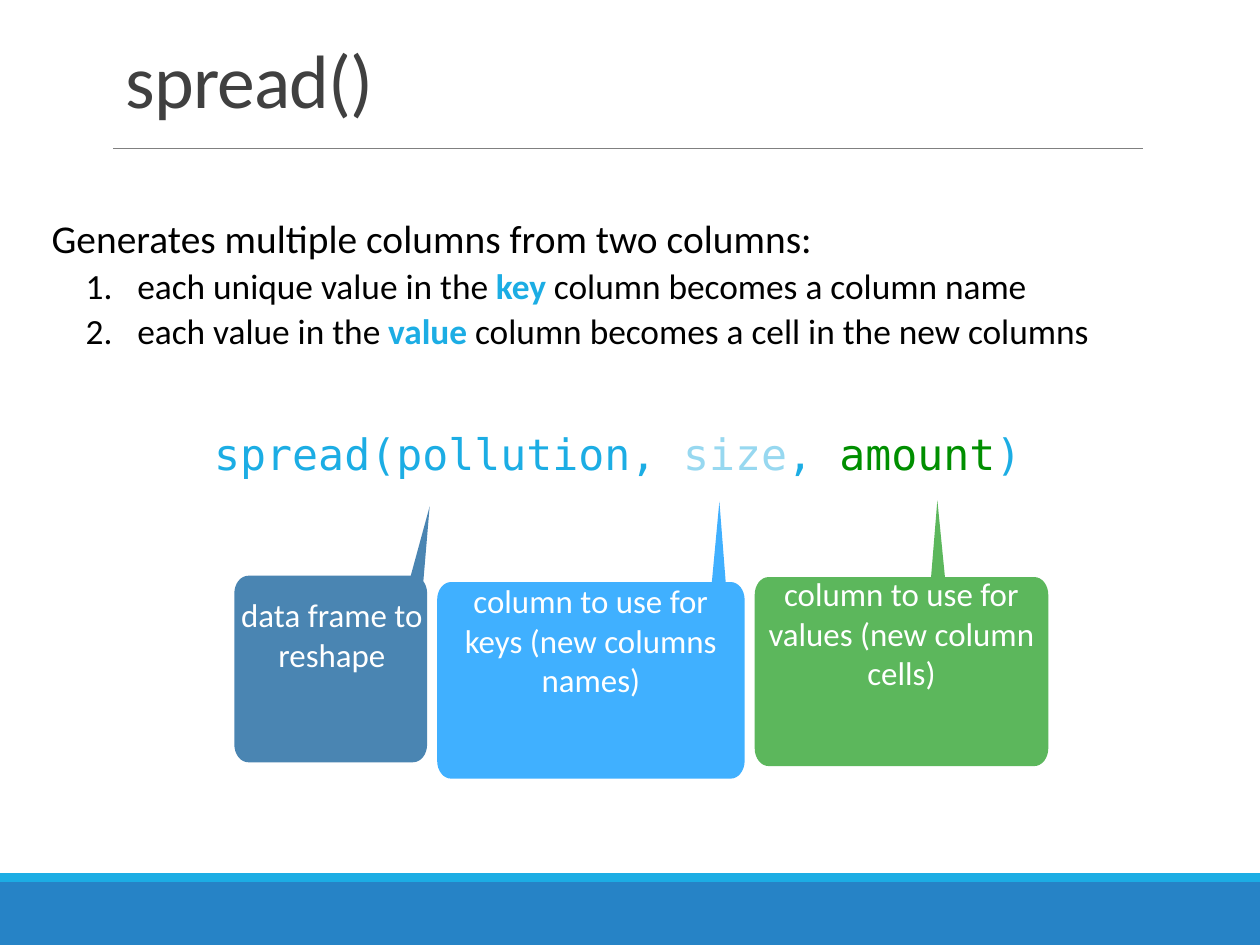
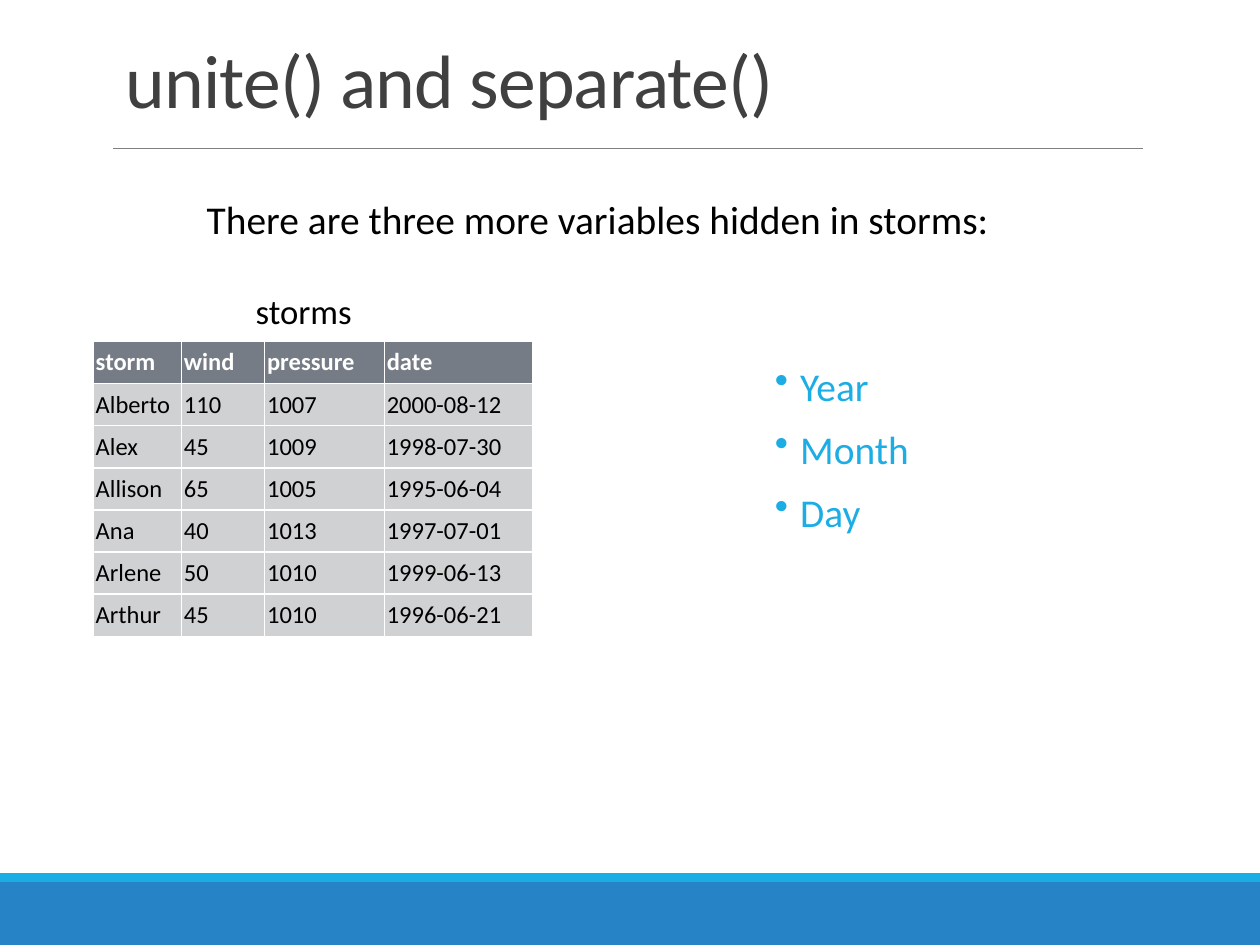
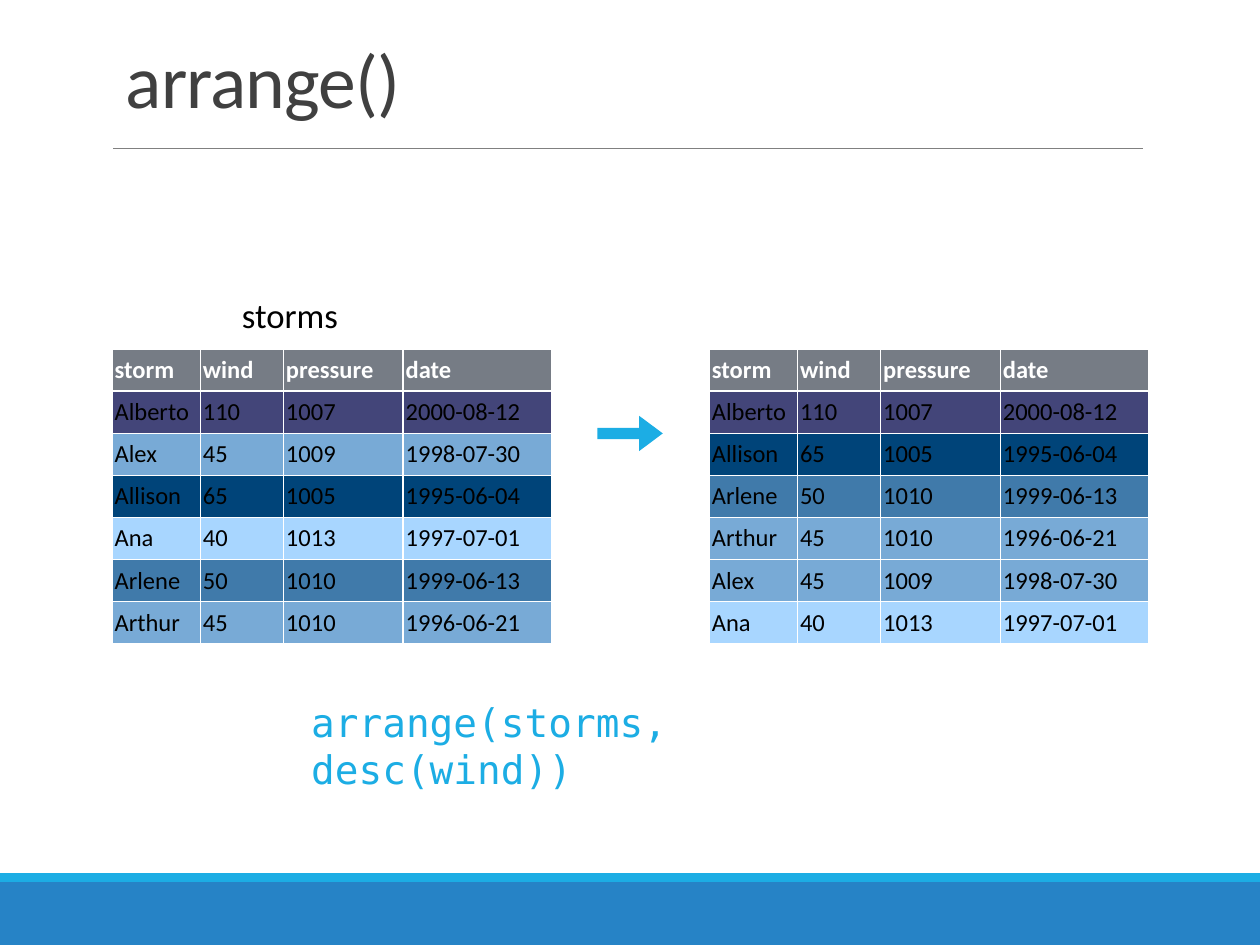
"""Build three slides on reshaping and sorting data frames."""
import math
import pptx
import pptx.util
import pptx.dml.color
import pptx.enum.shapes
import pptx.enum.text
import pptx.oxml
import pptx.oxml.ns
from dataclasses import dataclass
from lxml import etree

Inches = pptx.util.Inches
Kind = pptx.enum.shapes.MSO_SHAPE
Align = pptx.enum.text.PP_ALIGN
Anchor = pptx.enum.text.MSO_ANCHOR
qn = pptx.oxml.ns.qn


@dataclass(frozen=True)
class Theme:
    sans: str = "Calibri"
    mono: str = "DejaVu Sans Mono"
    band: str = "2683C6"
    main: str = "1CADE4"
    pale: str = "97D8F0"
    green: str = "008F00"
    navy: str = "005493"
    sky: str = "0096FF"
    rule: str = "808080"
    title: str = "404040"
    ink: str = "000000"
    white: str = "FFFFFF"
    head: str = "767C85"
    cell: str = "D0D1D2"
    big: float = 43.2
    code: float = 24.7
    body: float = 22.5
    item: float = 20.2
    label: float = 19.8
    note: float = 18.8
    grid: float = 14


T = Theme()
KEY = {"color": T.main, "bold": True}
LEAD = "Generates multiple columns from two columns:"
STEPS = [
    [("each unique value in the ", {}), ("key", KEY), (" column becomes a column name", {})],
    [("each value in the ", {}), ("value", KEY),
     (" column becomes a cell in the new columns", {})],
]
CALL = [("spread(pollution, ", {}), ("size", {"color": T.pale}), (", ", {}),
        ("amount", {"color": T.green}), (")", {})]
NOTES = [
    {"text": "data frame to reshape", "box": (1.86, 4.57, 3.39, 6.05),
     "tip": (3.41, 4.02), "base": (3.26, 3.36), "color": T.navy, "alpha": 71},
    {"text": "column to use for keys (new columns names)", "box": (3.47, 4.62, 5.91, 6.18),
     "tip": (5.71, 3.98), "base": (5.65, 5.76), "color": T.sky, "alpha": 75},
    {"text": "column to use for values (new column cells)", "box": (5.99, 4.58, 8.32, 6.08),
     "tip": (7.44, 3.97), "base": (7.39, 7.5), "color": T.green, "alpha": 64},
]
HEAD = ("storm", "wind", "pressure", "date")
STORMS = [
    ("Alberto", 110, 1007, "2000-08-12"),
    ("Alex", 45, 1009, "1998-07-30"),
    ("Allison", 65, 1005, "1995-06-04"),
    ("Ana", 40, 1013, "1997-07-01"),
    ("Arlene", 50, 1010, "1999-06-13"),
    ("Arthur", 45, 1010, "1996-06-21"),
]
WINDS = {110: "434579", 65: "004479", 50: "407AAA", 45: "78AAD6", 40: "A8D6FF"}
COLS = (0.7, 0.66, 0.95, 1.18)
TALL = 2.34
PARTS = ["Year", "Month", "Day"]


def rgb(code):
    return pptx.dml.color.RGBColor.from_string(code)


def text(frame, paras, *, size=T.body, color=T.ink, font=T.sans, bold=False, align=Align.LEFT,
         gap=0, line=None, mark=None, hang=0, left=0, track=0):
    for para in paras:
        p = frame.paragraphs[0]
        first = not p.runs
        if not first:
            p = frame.add_paragraph()
        p.alignment = align
        p.space_before = pptx.util.Pt(0 if first else gap)
        if line:
            p.line_spacing = line
        if mark:
            props = p._p.get_or_add_pPr()
            props.set("marL", str(Inches(left)))
            props.set("indent", str(-Inches(hang)))
            tag, name, value = mark
            etree.SubElement(props, qn(tag)).set(name, value)
        for words, style in [(para, {})] if isinstance(para, str) else para:
            run = p.add_run()
            run.text = words
            run.font.size = pptx.util.Pt(size)
            run.font.name = font
            run.font.bold = style.get("bold", bold)
            run.font.color.rgb = rgb(style.get("color", color))
            if track:
                run._r.get_or_add_rPr().set("spc", str(track))


def fit(frame, inset, anchor=Anchor.TOP):
    frame.word_wrap = True
    frame.vertical_anchor = anchor
    frame.margin_left = frame.margin_right = Inches(inset)
    frame.margin_top = frame.margin_bottom = Inches(inset)
    return frame


def box(slide, at, inset=0.02, anchor=Anchor.TOP):
    return fit(slide.shapes.add_textbox(*map(Inches, at)).text_frame, inset, anchor)


def paint(shape, color):
    shape.shadow.inherit = False
    shape.fill.solid()
    shape.fill.fore_color.rgb = rgb(color)
    shape.line.fill.background()
    return shape


def block(slide, kind, at, color):
    return paint(slide.shapes.add_shape(kind, *map(Inches, at)), color)


def start(deck, title):
    slide = deck.slides.add_slide(deck.slide_layouts[6])
    block(slide, Kind.RECTANGLE, (0, 7, 10, 0.5), T.band)
    block(slide, Kind.RECTANGLE, (0, 6.93, 10, 0.07), T.main)
    ends = map(Inches, (0.9, 1.18, 9.07, 1.18))
    rule = slide.shapes.add_connector(pptx.enum.shapes.MSO_CONNECTOR.STRAIGHT, *ends)
    rule.line.color.rgb = rgb(T.rule)
    rule.line.width = pptx.util.Pt(0.5)
    etree.SubElement(rule._element.spPr, qn("a:effectLst"))
    frame = box(slide, (0.9, 0.31, 8.25, 0.72), 0.05, Anchor.BOTTOM)
    frame.margin_left = frame.margin_right = Inches(0.1)
    text(frame, [title], size=T.big, color=T.title, line=0.85, track=-50)
    return slide


def bubble(slide, note):
    left, top, right, low = note["box"]
    begin, end = note["base"]
    wide, high = 0.11, 0.14
    turn = math.degrees(math.acos(max(0, (end - right + wide) / wide)))
    arcs = [(left + wide, top + high, 90, 180), (left + wide, low - high, 180, 270),
            (right - wide, low - high, 270, 360), (right - wide, top + high, 0, turn)]
    spots = [(begin, top)]
    for x, y, a, b in arcs:
        for step in range(9):
            angle = math.radians(a + (b - a) * step / 8)
            spots.append((x + wide * math.cos(angle), y - high * math.sin(angle)))
    spots.append((end, spots[-1][1]))
    pen = slide.shapes.build_freeform(*map(Inches, note["tip"]))
    pen.add_line_segments([(Inches(x), Inches(y)) for x, y in spots], close=True)
    shape = paint(pen.convert_to_shape(), note["color"])
    tint = shape._element.spPr.find(".//" + qn("a:srgbClr"))
    etree.SubElement(tint, qn("a:alpha")).set("val", str(note["alpha"] * 1000))
    frame = fit(shape.text_frame, 0.03, Anchor.MIDDLE)
    text(frame, [note["text"]], size=T.note, color=T.white, align=Align.CENTER)


def edge(cell):
    props = cell._tc.get_or_add_tcPr()
    for side in ("a:lnL", "a:lnR", "a:lnT", "a:lnB"):
        line = etree.SubElement(props, qn(side), w=str(pptx.util.Pt(1)))
        fill = etree.SubElement(line, qn("a:solidFill"))
        etree.SubElement(fill, qn("a:srgbClr")).set("val", T.white)


def table(slide, left, top, rows, fills):
    size = map(Inches, (left, top, sum(COLS), TALL))
    grid = slide.shapes.add_table(len(rows) + 1, len(COLS), *size).table
    grid.horz_banding = False
    for col, wide in zip(grid.columns, COLS):
        col.width = Inches(wide)
    for r, (row, fill) in enumerate(zip([HEAD] + rows, [T.head] + fills)):
        for c, value in enumerate(row):
            cell = grid.cell(r, c)
            edge(cell)
            cell.fill.solid()
            cell.fill.fore_color.rgb = rgb(fill)
            cell.vertical_anchor = Anchor.MIDDLE
            cell.margin_left = cell.margin_right = Inches(0.02)
            cell.margin_top = cell.margin_bottom = Inches(0.02)
            text(cell.text_frame, [str(value)], size=T.grid, bold=r == 0,
                 color=T.ink if r else T.white)


def label(slide, left, top):
    frame = box(slide, (left, top, 0.96, 0.37), 0.03, Anchor.MIDDLE)
    text(frame, ["storms"], size=T.label, line=0.9)


def spread(deck):
    slide = start(deck, "spread()")
    frame = box(slide, (1.67, 3.36, 6.48, 0.61), 0.03)
    text(frame, [CALL], size=T.code, color=T.main, font=T.mono)
    frame = box(slide, (0.39, 1.78, 9.2, 1.26))
    text(frame, [LEAD], line=0.7)
    text(frame, STEPS, size=T.item, line=0.7, gap=9, left=0.68, hang=0.41,
         mark=("a:buAutoNum", "type", "arabicPeriod"))
    for note in NOTES:
        bubble(slide, note)


def unite(deck):
    slide = start(deck, "unite() and separate()")
    table(slide, 0.74, 2.71, STORMS, [T.cell] * len(STORMS))
    frame = box(slide, (1.62, 1.63, 6.81, 0.61))
    text(frame, ["There are three more variables hidden in storms:"], line=0.7)
    label(slide, 2, 2.3)
    frame = box(slide, (6.13, 2.85, 1.31, 1.72))
    text(frame, PARTS, color=T.main, gap=9, left=0.2, hang=0.2, mark=("a:buChar", "char", "•"))


def arrange(deck):
    slide = start(deck, "arrange()")
    ranked = sorted(STORMS, key=lambda row: (-row[1], row[3]))
    for left, rows in ((0.89, STORMS), (5.63, ranked)):
        table(slide, left, 2.77, rows, [WINDS[row[1]] for row in rows])
    arrow = block(slide, Kind.RIGHT_ARROW, (4.74, 3.3, 0.52, 0.28), T.main)
    arrow.adjustments[0], arrow.adjustments[1] = 0.32, 0.67
    label(slide, 1.89, 2.33)
    frame = box(slide, (2.44, 5.51, 5.13, 0.87), 0.03)
    frame.margin_right = Inches(0.5)
    text(frame, ["arrange(storms, desc(wind))"], color=T.main, font=T.mono)


def main():
    deck = pptx.Presentation()
    deck.slide_width, deck.slide_height = Inches(10), Inches(7.5)
    for make in (spread, unite, arrange):
        make(deck)
    deck.save("out.pptx")


if __name__ == "__main__":
    main()
